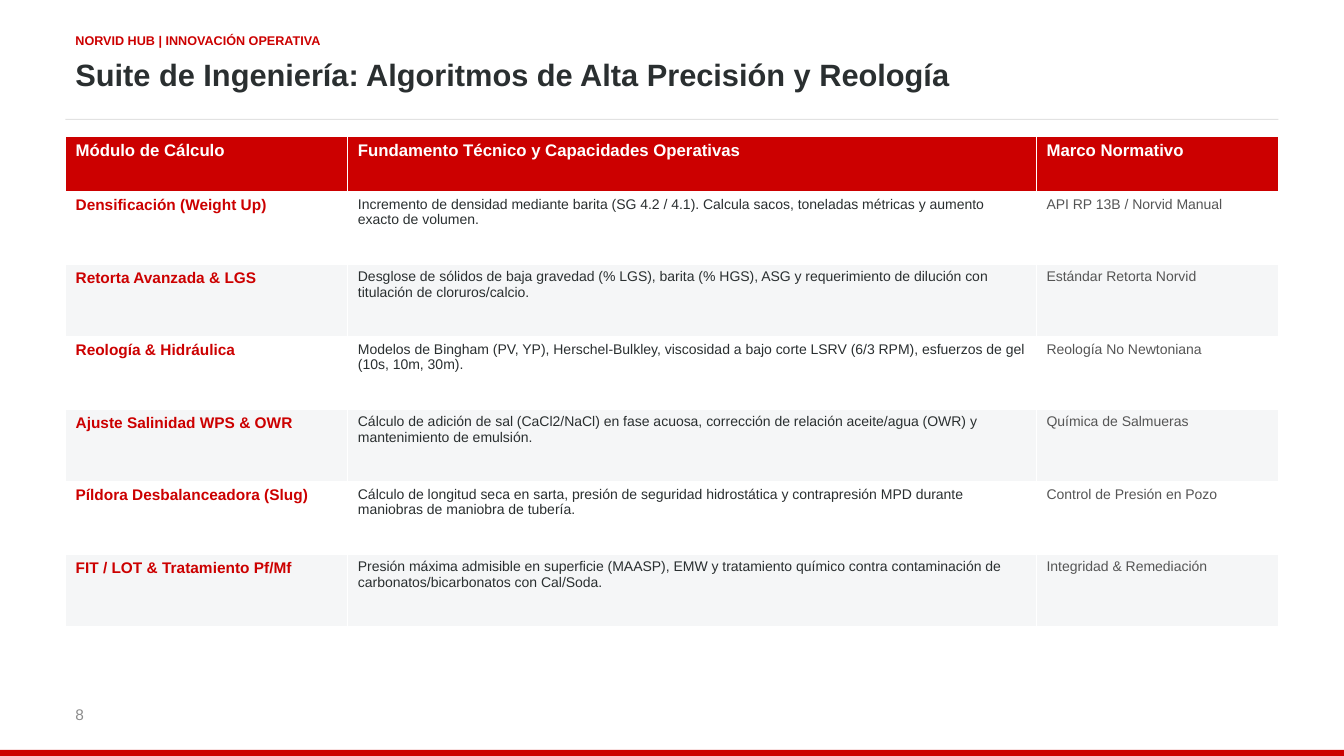
from pptx import Presentation
from pptx.dml.color import RGBColor
from pptx.enum.shapes import MSO_SHAPE as Shape
from pptx.util import Pt

PX = 9144  # 100 px to the inch

RED = RGBColor(0xCC, 0x00, 0x00)
INK = RGBColor(0x2A, 0x2F, 0x30)
GREY = RGBColor(0x55, 0x55, 0x55)
PALE_GREY = RGBColor(0x8C, 0x8C, 0x8C)
RULE = RGBColor(0xE2, 0xE2, 0xE2)
BAND = RGBColor(0xF5, 0xF6, 0xF7)
WHITE = RGBColor(0xFF, 0xFF, 0xFF)

# Text formats
KICKER = dict(size=Pt(9), bold=True, color=RED)
TITLE = dict(size=Pt(22), bold=True, color=INK)
NUMBER = dict(size=Pt(11), bold=False, color=PALE_GREY)
HEAD = dict(size=Pt(12), bold=True, color=WHITE)
MODULE = dict(size=Pt(11), bold=True, color=RED)
DETAIL = dict(size=Pt(10), bold=False, color=INK)
NORM = dict(size=Pt(10), bold=False, color=GREY)

# Table content
COLUMN_WIDTHS = (280, 683, 240)
HEAD_HEIGHT, ROW_HEIGHT = 55, 72
HEADINGS = (
    "Módulo de Cálculo",
    "Fundamento Técnico y Capacidades Operativas",
    "Marco Normativo",
)
MODULES = (
    ("Densificación (Weight Up)",
     "Incremento de densidad mediante barita (SG 4.2 / 4.1). Calcula sacos, "
     "toneladas métricas y aumento exacto de volumen.",
     "API RP 13B / Norvid Manual"),
    ("Retorta Avanzada & LGS",
     "Desglose de sólidos de baja gravedad (% LGS), barita (% HGS), ASG y "
     "requerimiento de dilución con titulación de cloruros/calcio.",
     "Estándar Retorta Norvid"),
    ("Reología & Hidráulica",
     "Modelos de Bingham (PV, YP), Herschel-Bulkley, viscosidad a bajo corte "
     "LSRV (6/3 RPM), esfuerzos de gel (10s, 10m, 30m).",
     "Reología No Newtoniana"),
    ("Ajuste Salinidad WPS & OWR",
     "Cálculo de adición de sal (CaCl2/NaCl) en fase acuosa, corrección de "
     "relación aceite/agua (OWR) y mantenimiento de emulsión.",
     "Química de Salmueras"),
    ("Píldora Desbalanceadora (Slug)",
     "Cálculo de longitud seca en sarta, presión de seguridad hidrostática y "
     "contrapresión MPD durante maniobras de maniobra de tubería.",
     "Control de Presión en Pozo"),
    ("FIT / LOT & Tratamiento Pf/Mf",
     "Presión máxima admisible en superficie (MAASP), EMW y tratamiento químico "
     "contra contaminación de carbonatos/bicarbonatos con Cal/Soda.",
     "Integridad & Remediación"),
)


def scaled(*lengths):
    return [length * PX for length in lengths]


def write(frame, text, style):
    span = frame.paragraphs[0].add_run()
    span.text = text
    span.font.name = "Arial"
    for name, value in style.items():
        if name == "color":
            span.font.color.rgb = value
        else:
            setattr(span.font, name, value)


def add_text(page, place, text, style):
    box = page.shapes.add_textbox(*scaled(*place))
    box.text_frame.word_wrap = True
    write(box.text_frame, text, style)


def add_bar(page, place, color):
    bar = page.shapes.add_shape(Shape.RECTANGLE, *scaled(*place))
    bar.shadow.inherit = False
    bar.fill.solid()
    bar.fill.fore_color.rgb = color
    bar.line.fill.background()


def fill_row(row, texts, styles, color):
    for cell, text, style in zip(row.cells, texts, styles):
        cell.fill.solid()
        cell.fill.fore_color.rgb = color
        write(cell.text_frame, text, style)


def add_module_table(page, left, top):
    # The default table style supplies the white cell borders
    heights = [HEAD_HEIGHT] + [ROW_HEIGHT] * len(MODULES)
    place = scaled(left, top, sum(COLUMN_WIDTHS), sum(heights))
    table = page.shapes.add_table(len(heights), len(COLUMN_WIDTHS), *place).table
    for column, width in zip(table.columns, scaled(*COLUMN_WIDTHS)):
        column.width = width
    for row, height in zip(table.rows, scaled(*heights)):
        row.height = height

    fill_row(table.rows[0], HEADINGS, [HEAD] * len(HEADINGS), RED)
    for index, texts in enumerate(MODULES, start=1):
        color = WHITE if index % 2 else BAND
        fill_row(table.rows[index], texts, (MODULE, DETAIL, NORM), color)


def main():
    deck = Presentation()
    deck.slide_width, deck.slide_height = scaled(1333, 750)
    page = deck.slides.add_slide(deck.slide_layouts[6])

    # Heading
    add_text(page, (65, 28, 1200, 30), "NORVID HUB | INNOVACIÓN OPERATIVA", KICKER)
    add_text(page, (65, 50, 1204, 65),
             "Suite de Ingeniería: Algoritmos de Alta Precisión y Reología", TITLE)
    add_bar(page, (65, 118, 1203, 1), RULE)

    # Calculation modules
    add_module_table(page, 65, 135)

    # Footer
    add_text(page, (65, 695, 150, 40), "8", NUMBER)
    add_bar(page, (0, 744, 1333, 6), RED)

    deck.save("out.pptx")


if __name__ == "__main__":
    main()
